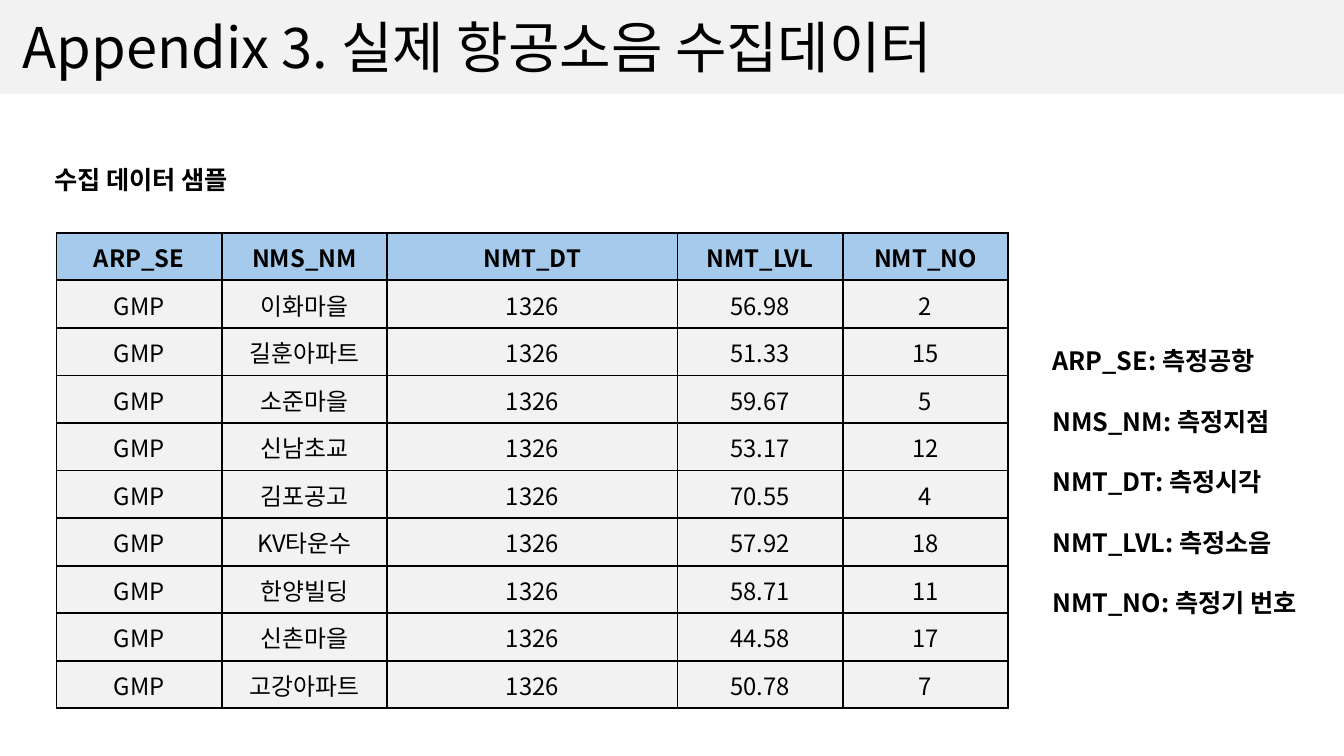
from lxml import etree
from pptx import Presentation
from pptx.dml.color import RGBColor
from pptx.enum.shapes import MSO_SHAPE
from pptx.enum.text import MSO_ANCHOR, MSO_AUTO_SIZE, PP_ALIGN
from pptx.oxml.ns import qn
from pptx.util import Inches, Pt

RECT = MSO_SHAPE.RECTANGLE
MIDDLE = MSO_ANCHOR.MIDDLE
GROW = MSO_AUTO_SIZE.SHAPE_TO_FIT_TEXT
CENTER = PP_ALIGN.CENTER

FACE = "Noto Sans CJK KR"
BLACK, GRAY, BLUE = "000000", "F2F2F2", "A6CAEC"
TITLE = {"size": Pt(40), "bold": False}
LABEL = {"size": Pt(18), "bold": True}
HEAD = {"size": Pt(17), "bold": True}
BODY = {"size": Pt(17), "bold": False}
INSET = {
    "margin_left": Inches(0.01),
    "margin_right": Inches(0.01),
    "margin_top": Inches(0.01),
    "margin_bottom": 0,
    "vertical_anchor": MIDDLE,
}

WIDTHS = [1.64, 1.64, 2.88, 1.64, 1.64]
HIGH = 4.72
FIELDS = ["ARP_SE", "NMS_NM", "NMT_DT", "NMT_LVL", "NMT_NO"]
MEANS = ["측정공항", "측정지점", "측정시각", "측정소음", "측정기 번호"]
SITES = [
    ("이화마을", "56.98", "2"),
    ("길훈아파트", "51.33", "15"),
    ("소준마을", "59.67", "5"),
    ("신남초교", "53.17", "12"),
    ("김포공고", "70.55", "4"),
    ("KV타운수", "57.92", "18"),
    ("한양빌딩", "58.71", "11"),
    ("신촌마을", "44.58", "17"),
    ("고강아파트", "50.78", "7"),
]


def color(code):
    """Turn a hex string into a colour."""
    return RGBColor.from_string(code)


def apply(item, style):
    """Set every attribute named in a style."""
    for name, value in style.items():
        setattr(item, name, value)


def paint(item, code):
    """Give a shape or cell a solid fill."""
    item.fill.solid()
    item.fill.fore_color.rgb = color(code)


def write(para, text, style):
    """Add one run with Latin and East Asian fonts."""
    run = para.add_run()
    run.text = text
    apply(run.font, {"name": FACE, **style})
    run.font.color.rgb = color(BLACK)
    props = run.font._element
    props.find(qn("a:latin")).addnext(
        props.makeelement(qn("a:ea"), {"typeface": FACE}))


def add_band(slide):
    """Draw the title band."""
    band = slide.shapes.add_shape(RECT, 0, 0, Inches(13.33), Inches(0.93))
    band.shadow.inherit = False
    paint(band, GRAY)
    band.line.fill.background()


def add_text(slide, box, lines, style, wrap=False, space=None):
    """Add a text box with one paragraph per line."""
    frame = slide.shapes.add_textbox(*map(Inches, box)).text_frame
    apply(frame, {"word_wrap": wrap, "auto_size": GROW})
    for i, text in enumerate(lines):
        para = frame.add_paragraph() if i else frame.paragraphs[0]
        para.line_spacing = space
        write(para, text, style)


def add_edges(cell):
    """Draw black borders around a cell."""
    props = cell._tc.get_or_add_tcPr()
    for i, side in enumerate(("lnL", "lnR", "lnT", "lnB")):
        edge = props.makeelement(qn(f"a:{side}"), {"w": str(Pt(1.5))})
        fill = etree.SubElement(edge, qn("a:solidFill"))
        etree.SubElement(fill, qn("a:srgbClr"), val=BLACK)
        props.insert(i, edge)


def add_grid(slide, rows):
    """Build the sample table."""
    table = slide.shapes.add_table(
        len(rows), len(WIDTHS), Inches(0.56), Inches(2.31),
        Inches(sum(WIDTHS)), Inches(HIGH)).table
    for col, width in zip(table.columns, WIDTHS):
        col.width = Inches(width)
    for r, row in enumerate(rows):
        table.rows[r].height = Inches(HIGH / len(rows))
        for c, text in enumerate(row):
            cell = table.cell(r, c)
            apply(cell, INSET)
            paint(cell, GRAY if r else BLUE)
            add_edges(cell)
            para = cell.text_frame.paragraphs[0]
            para.alignment = CENTER
            write(para, text, BODY if r else HEAD)


def main():
    """Build and save the slide."""
    deck = Presentation()
    apply(deck, {"slide_width": Inches(13.33), "slide_height": Inches(7.5)})
    slide = deck.slides.add_slide(deck.slide_layouts[6])
    add_band(slide)
    add_text(slide, (0.13, 0.08, 10.47, 0.77),
             ["Appendix 3. 실제 항공소음 수집데이터"], TITLE, wrap=True)
    add_text(slide, (0.44, 1.58, 2.15, 0.4), ["수집 데이터 샘플"], LABEL)
    rows = [("GMP", site, "1326", level, no) for site, level, no in SITES]
    add_grid(slide, [FIELDS] + rows)
    notes = [f"{field}: {mean}" for field, mean in zip(FIELDS, MEANS)]
    add_text(slide, (10.34, 3.08, 2.81, 3.03), notes, LABEL, space=2.0)
    deck.save("out.pptx")


if __name__ == "__main__":
    main()
